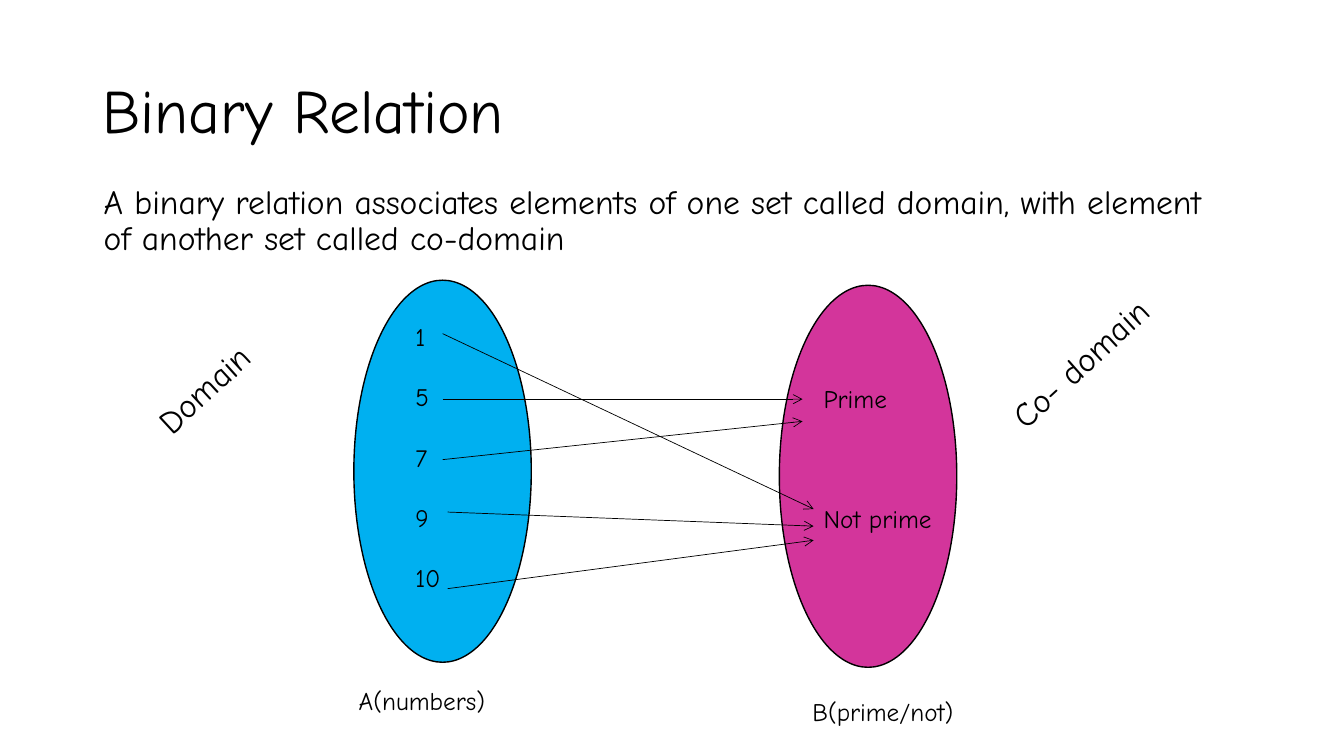
from dataclasses import dataclass

from lxml import etree
from pptx import Presentation
from pptx.dml.color import RGBColor
from pptx.enum.shapes import MSO_CONNECTOR, MSO_SHAPE
from pptx.enum.text import MSO_ANCHOR
from pptx.oxml.ns import qn
from pptx.slide import Slide
from pptx.util import Inches, Pt

LINE = MSO_CONNECTOR.STRAIGHT
OVAL = MSO_SHAPE.OVAL
TOP, MIDDLE = MSO_ANCHOR.TOP, MSO_ANCHOR.MIDDLE

BLACK = RGBColor(0x00, 0x00, 0x00)
BLUE = RGBColor(0x00, 0xB0, 0xF0)
PINK = RGBColor(0xD3, 0x35, 0x9B)
FONT = "Comic Neue"
ROW = 21.5  # height of one 18 pt line, in points
TILT = 317.3


@dataclass
class Box:
    left: float
    top: float
    width: float
    height: float

    def inches(self) -> list[Inches]:
        return [Inches(n) for n in (self.left, self.top, self.width, self.height)]


@dataclass
class Group:
    """One set: its oval and the members listed inside."""
    oval: Box
    fill: RGBColor
    list_box: Box
    members: list[str]
    gap: float


@dataclass
class Arrow:
    x1: float
    y1: float
    x2: float
    y2: float


GROUPS = [
    Group(Box(3.51, 2.78, 1.76, 3.79), BLUE, Box(4.02, 3.14, 0.65, 2.83),
          ["1", "5", "7", "9", "10"], ROW),
    Group(Box(7.73, 2.83, 1.76, 3.79), PINK, Box(8.07, 3.75, 1.61, 1.62),
          ["Prime", "Not prime"], 3 * ROW),
]

ARROWS = [
    Arrow(4.39, 3.31, 8.07, 5.05),
    Arrow(4.39, 3.96, 7.96, 3.96),
    Arrow(4.39, 4.56, 7.96, 4.18),
    Arrow(4.44, 5.08, 8.07, 5.22),
    Arrow(4.44, 5.84, 8.07, 5.36),
]


def add_text(slide: Slide, box: Box, *lines: str, size: float = 18,
             pitch: float = 1.0, gap: float = 0, turn: float = 0,
             anchor: MSO_ANCHOR = TOP) -> None:
    shape = slide.shapes.add_textbox(*box.inches())
    shape.rotation = turn
    frame = shape.text_frame
    frame.word_wrap = True
    frame.vertical_anchor = anchor
    frame.text = "\n".join(lines)
    for i, para in enumerate(frame.paragraphs):
        para.line_spacing = pitch
        para.space_before = Pt(gap if i else 0)
        para.font.name = FONT
        para.font.size = Pt(size)
        para.font.color.rgb = BLACK


def add_group(slide: Slide, group: Group) -> None:
    oval = slide.shapes.add_shape(OVAL, *group.oval.inches())
    oval.shadow.inherit = False
    oval.fill.solid()
    oval.fill.fore_color.rgb = group.fill
    oval.line.color.rgb = BLACK
    oval.line.width = Pt(1)
    add_text(slide, group.list_box, *group.members, gap=group.gap)


def add_arrow(slide: Slide, arrow: Arrow) -> None:
    ends = [Inches(n) for n in (arrow.x1, arrow.y1, arrow.x2, arrow.y2)]
    link = slide.shapes.add_connector(LINE, *ends)
    link.line.color.rgb = BLACK
    link.line.width = Pt(0.5)
    etree.SubElement(link.line._get_or_add_ln(), qn("a:tailEnd"), type="arrow")
    etree.SubElement(link._element.spPr, qn("a:effectLst"))


def main() -> None:
    deck = Presentation()
    deck.slide_width, deck.slide_height = Inches(13.33), Inches(7.5)
    slide = deck.slides.add_slide(deck.slide_layouts[6])

    add_text(slide, Box(0.92, 0.4, 11.5, 1.45), "Binary Relation",
             size=44, pitch=0.9, anchor=MIDDLE)
    add_text(slide, Box(0.93, 1.79, 11.4, 0.47),
             "A binary relation associates elements of one set called domain, "
             "with element of another set called co-domain", size=24, pitch=0.9)
    for group in GROUPS:
        add_group(slide, group)
    for arrow in ARROWS:
        add_arrow(slide, arrow)
    add_text(slide, Box(3.46, 6.78, 2.43, 0.47), "A(numbers)", pitch=0.9)
    add_text(slide, Box(7.96, 6.86, 1.76, 0.4), "B(prime/not)")
    add_text(slide, Box(1.36, 3.55, 1.57, 0.47), "Domain",
             size=24, pitch=0.9, turn=TILT)
    add_text(slide, Box(9.75, 3.28, 2.2, 0.47), "Co- domain",
             size=24, pitch=0.9, turn=TILT)
    deck.save("out.pptx")


if __name__ == "__main__":
    main()
